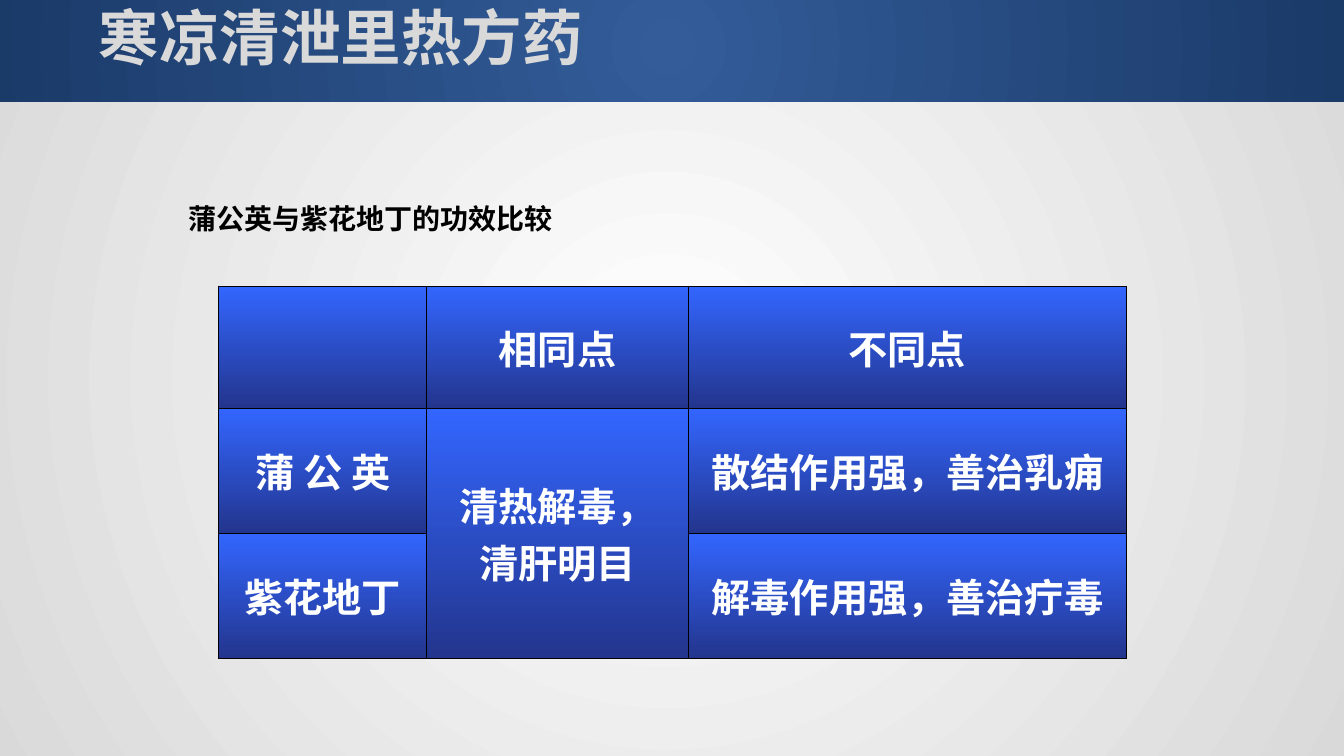
"""Build the slide comparing the effects of two heat-clearing herbs."""
from dataclasses import dataclass

from pptx import Presentation
from pptx.dml.color import RGBColor
from pptx.enum.shapes import MSO_SHAPE
from pptx.enum.text import MSO_ANCHOR as Anchor, PP_ALIGN as Align
from pptx.oxml import parse_xml
from pptx.oxml.ns import nsdecls, qn
from pptx.util import Inches, Pt

FONT = "Noto Sans CJK SC"
WHITE = RGBColor(0xFF, 0xFF, 0xFF)
SILVER = RGBColor(0xD9, 0xD9, 0xD9)
BLACK = RGBColor(0x00, 0x00, 0x00)
BANNER_LIGHT = RGBColor(0x33, 0x5C, 0x99)
BANNER_DARK = RGBColor(0x1A, 0x3A, 0x68)
CELL_LIGHT = RGBColor(0x33, 0x66, 0xFF)
CELL_DARK = RGBColor(0x23, 0x35, 0x8D)

RADIAL = '<a:path path="circle"><a:fillToRect l="50000" t="50000" r="50000" b="50000"/></a:path>'
DOWNWARD = '<a:lin ang="5400000" scaled="0"/>'


@dataclass(frozen=True)
class Panel:
    left: float
    top: float
    width: float
    height: float
    inner: RGBColor
    outer: RGBColor


@dataclass(frozen=True)
class Label:
    text: str
    left: float
    top: float
    width: float
    height: float
    size: float
    color: RGBColor
    anchor: Anchor


PANELS = [
    Panel(-0.14, -0.11, 13.52, 7.72, WHITE, SILVER),
    Panel(-0.14, -0.08, 13.54, 1.09, BANNER_LIGHT, BANNER_DARK),
]
LABELS = [
    Label("寒凉清泄里热方药", 0.88, -0.07, 12.4, 0.86, 43.2, SILVER, Anchor.MIDDLE),
    Label("蒲公英与紫花地丁的功效比较", 1.77, 1.95, 3.83, 0.44, 20, BLACK, Anchor.TOP),
]
COLUMN_WIDTHS = [2.06, 2.6, 4.34]
ROW_HEIGHTS = [1.21, 1.24, 1.24]
HERB_ROWS = [
    ["", "相同点", "不同点"],
    ["蒲 公 英", "清热解毒，\n清肝明目", "散结作用强，善治乳痈"],
    ["紫花地丁", "", "解毒作用强，善治疔毒"],
]


def fill_gradient(filled, properties, start: RGBColor, end: RGBColor, direction: str) -> None:
    filled.fill.background()
    gradient = parse_xml(
        f'<a:gradFill {nsdecls("a")} rotWithShape="1"><a:gsLst>'
        f'<a:gs pos="0"><a:srgbClr val="{start}"/></a:gs>'
        f'<a:gs pos="100000"><a:srgbClr val="{end}"/></a:gs>'
        f'</a:gsLst>{direction}</a:gradFill>'
    )
    properties.replace(properties.find(qn("a:noFill")), gradient)


def write_text(frame, text: str, size: float, color: RGBColor, align: Align) -> None:
    text_format = {"name": FONT, "size": Pt(size), "bold": True}
    frame.text = text
    for para in frame.paragraphs:
        para.alignment = align
        for span in para.runs:
            span.font.color.rgb = color
            for name, value in text_format.items():
                setattr(span.font, name, value)
            east_asian = parse_xml(f'<a:ea {nsdecls("a")} typeface="{FONT}"/>')
            span.font._element.find(qn("a:latin")).addnext(east_asian)


def draw_panel(page, panel: Panel) -> None:
    place = map(Inches, (panel.left, panel.top, panel.width, panel.height))
    shape = page.shapes.add_shape(MSO_SHAPE.RECTANGLE, *place)
    shape.shadow.inherit = False
    shape.line.fill.background()
    fill_gradient(shape, shape._element.spPr, panel.inner, panel.outer, RADIAL)


def draw_label(page, label: Label) -> None:
    place = map(Inches, (label.left, label.top, label.width, label.height))
    frame = page.shapes.add_textbox(*place).text_frame
    for name, value in {"word_wrap": True, "vertical_anchor": label.anchor}.items():
        setattr(frame, name, value)
    write_text(frame, label.text, label.size, label.color, Align.LEFT)


def style_cell(cell) -> None:
    cell.vertical_anchor = Anchor.MIDDLE
    properties = cell._tc.get_or_add_tcPr()
    for side in ("lnL", "lnR", "lnT", "lnB"):
        properties.append(parse_xml(
            f'<a:{side} {nsdecls("a")} w="{Pt(1)}"><a:solidFill>'
            f'<a:srgbClr val="{BLACK}"/></a:solidFill></a:{side}>'
        ))
    fill_gradient(cell, properties, CELL_LIGHT, CELL_DARK, DOWNWARD)


def draw_herb_table(page) -> None:
    place = map(Inches, (2.17, 2.84, sum(COLUMN_WIDTHS), sum(ROW_HEIGHTS)))
    table = page.shapes.add_table(len(ROW_HEIGHTS), len(COLUMN_WIDTHS), *place).table
    for column, width in zip(table.columns, COLUMN_WIDTHS):
        column.width = Inches(width)
    for row, height in zip(table.rows, ROW_HEIGHTS):
        row.height = Inches(height)
    table.cell(1, 1).merge(table.cell(2, 1))
    for row, texts in zip(table.rows, HERB_ROWS):
        for cell, text in zip(row.cells, texts):
            style_cell(cell)
            if text:
                write_text(cell.text_frame, text, 28, WHITE, Align.CENTER)


def main() -> None:
    deck = Presentation()
    deck.slide_width, deck.slide_height = Inches(13.33), Inches(7.5)
    page = deck.slides.add_slide(deck.slide_layouts[6])
    for panel in PANELS:
        draw_panel(page, panel)
    for label in LABELS:
        draw_label(page, label)
    draw_herb_table(page)
    deck.save("out.pptx")


if __name__ == "__main__":
    main()
